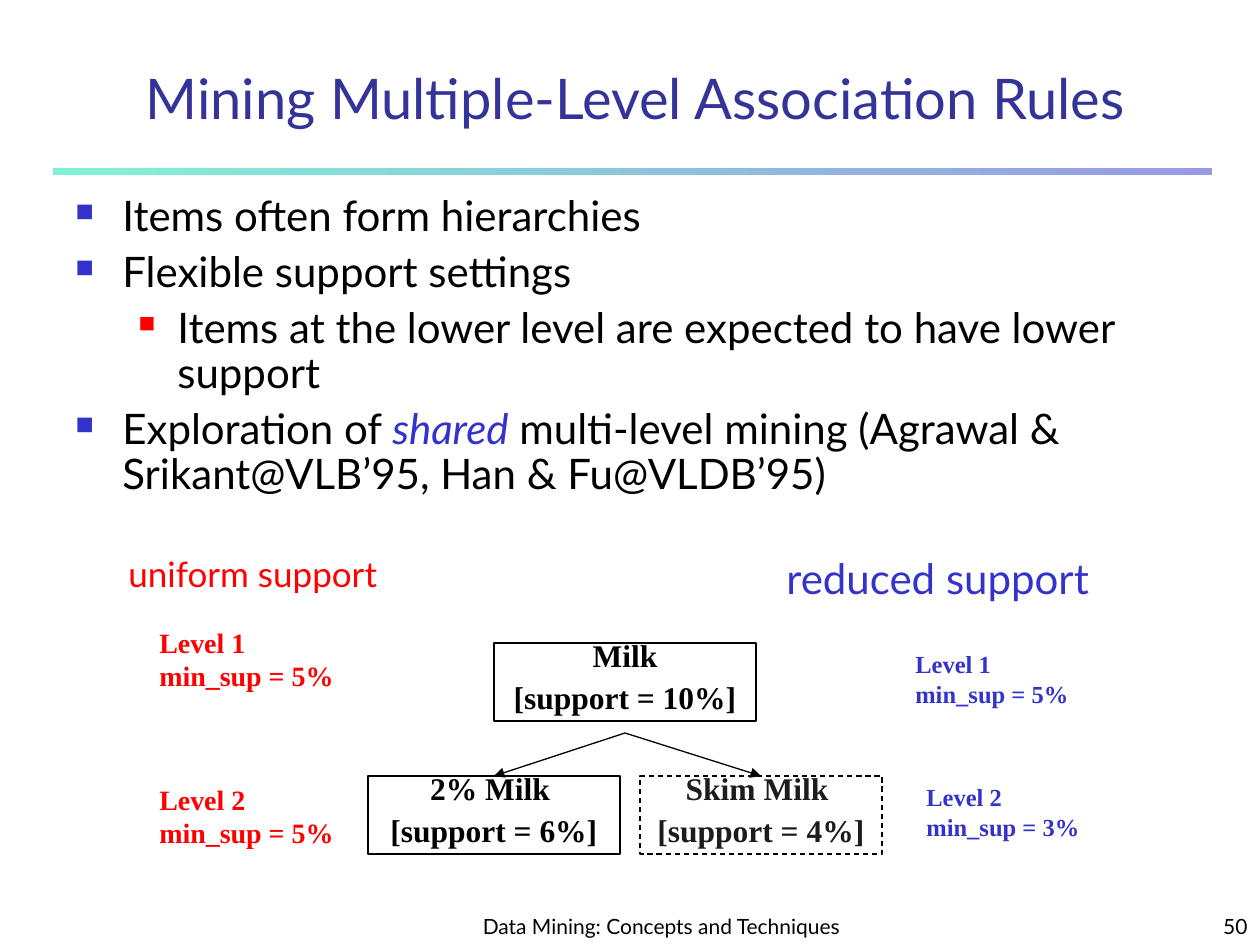
from dataclasses import dataclass

from lxml.etree import SubElement
from pptx import Presentation
from pptx.dml.color import RGBColor
from pptx.enum.dml import MSO_LINE
from pptx.enum.shapes import MSO_CONNECTOR, MSO_SHAPE
from pptx.enum.text import MSO_ANCHOR, PP_ALIGN
from pptx.oxml.ns import qn
from pptx.util import Pt


@dataclass(frozen=True)
class Theme:
    sans: str = "Lato"
    serif: str = "Times New Roman"
    black: str = "000000"
    white: str = "FFFFFF"
    gray: str = "1C1C1C"
    red: str = "FF0000"
    blue: str = "3333CC"
    navy: str = "333399"
    mint: str = "80F2D4"
    lilac: str = "9999E5"
    title: int = 32
    body: int = 24
    label: int = 20
    node: int = 18
    level: int = 16
    small: int = 14
    foot: int = 12


THEME = Theme()


def px(n):
    return round(n * 914400 / 126)


def rgb(code):
    return RGBColor.from_string(code)


def add(parent, tag, **attrs):
    return SubElement(parent, qn(tag), attrs)


def bullet(para, left, hang, color, size):
    props = para._p.get_or_add_pPr()
    props.set("marL", str(px(left)))
    props.set("indent", str(-px(hang)))
    add(add(props, "a:buClr"), "a:srgbClr", val=color)
    add(props, "a:buSzPct", val=str(size * 1000))
    add(props, "a:buChar", char="■")


def write(frame, text, size, color=THEME.black, font=THEME.sans, bold=False,
          align=PP_ALIGN.LEFT, lead=None, gap=0, marks=None):
    """Each line is a string or a list of runs; a (text, color) run is italic."""
    lines = [text] if isinstance(text, str) else text
    for i, line in enumerate(lines):
        para = frame.paragraphs[0] if i == 0 else frame.add_paragraph()
        if marks:
            bullet(para, *marks[i])
        para.alignment = align
        if lead:
            para.line_spacing = lead
        if gap and i:
            para.space_before = Pt(gap)
        for part in [line] if isinstance(line, str) else line:
            accent = isinstance(part, tuple)
            run = para.add_run()
            run.text, tint = part if accent else (part, color)
            run.font.name, run.font.size = font, Pt(size)
            run.font.bold, run.font.italic = bold, accent
            run.font.color.rgb = rgb(tint)


class Deck:
    def __init__(self, theme):
        self.theme = theme
        self.file = Presentation()
        self.file.slide_width, self.file.slide_height = px(1260), px(945)
        self.slide = self.file.slides.add_slide(self.file.slide_layouts[6])

    def text(self, box, text, size, wrap=True, anchor=MSO_ANCHOR.TOP, **fmt):
        frame = self.slide.shapes.add_textbox(*map(px, box)).text_frame
        frame.word_wrap, frame.vertical_anchor = wrap, anchor
        write(frame, text, size, **fmt)

    def rect(self, box):
        shape = self.slide.shapes.add_shape(MSO_SHAPE.RECTANGLE, *map(px, box))
        shape.shadow.inherit = False
        return shape

    def bar(self, box, start, end):
        shape = self.rect(box)
        shape.line.fill.background()
        shape.fill.gradient()
        shape.fill.gradient_angle = 0
        for stop, color in zip(shape.fill.gradient_stops, (start, end)):
            stop.color.rgb = rgb(color)

    def node(self, box, lines, color, dashed=False):
        shape = self.rect(box)
        shape.fill.solid()
        shape.fill.fore_color.rgb = rgb(self.theme.white)
        shape.line.color.rgb = rgb(self.theme.black)
        shape.line.width = Pt(0.75)
        if dashed:
            shape.line.dash_style = MSO_LINE.DASH
            tint = shape.fill._xPr.find(qn("a:solidFill"))[0]
            add(tint, "a:alpha", val="50000")
        frame = shape.text_frame
        frame.word_wrap, frame.vertical_anchor = True, MSO_ANCHOR.TOP
        write(frame, lines, self.theme.node, color=color, font=self.theme.serif,
              bold=True, align=PP_ALIGN.CENTER, lead=0.6, gap=11.2)
        return shape

    def arrow(self, x, y, goal):
        """Draw from a point to the middle of the goal's top side."""
        link = self.slide.shapes.add_connector(
            MSO_CONNECTOR.STRAIGHT, px(x), px(y),
            goal.left + goal.width // 2, goal.top)
        link.end_connect(goal, 0)
        link.line.color.rgb = rgb(self.theme.black)
        link.line.width = Pt(0.75)
        add(link.line._get_or_add_ln(), "a:tailEnd", type="triangle")
        add(link._element.spPr, "a:effectLst")


def main():
    t = THEME
    deck = Deck(t)

    # Title and rule
    deck.bar((53, 168, 1159, 7), t.mint, t.lilac)
    deck.text((95, 53, 1081, 84), "Mining Multiple-Level Association Rules",
              t.title, color=t.navy, align=PP_ALIGN.CENTER,
              anchor=MSO_ANCHOR.BOTTOM)

    # Bullets
    top, sub = (47, 47, t.blue, 60), (102, 39, t.red, 55)
    deck.text((63, 189, 1155, 325), [
        "Items often form hierarchies",
        "Flexible support settings",
        "Items at the lower level are expected to have lower support",
        ["Exploration of ", ("shared", t.blue),
         " multi-level mining (Agrawal & Srikant@VLB’95, Han & Fu@VLDB’95)"],
    ], t.body, lead=0.9, gap=6, marks=[top, top, sub, top])

    # Support headings
    deck.text((116, 546, 336, 73), "uniform support", t.label, color=t.red)
    deck.text((774, 546, 354, 63), "reduced support", t.body, wrap=False,
              color=t.blue)

    # Milk hierarchy
    deck.node((494, 643, 262, 78), ["Milk", "[support = 10%]"], t.black)
    kids = [
        deck.node((368, 776, 252, 78), ["2% Milk ", "[support = 6%]"], t.black),
        deck.node((640, 776, 242, 78), ["Skim Milk ", "[support = 4%]"], t.gray,
                  dashed=True),
    ]
    for kid in kids:
        deck.arrow(625, 733, kid)

    # Thresholds per level
    for x, y, level, share, size, color in [
        (147, 619, 1, 5, t.level, t.red),
        (147, 776, 2, 5, t.level, t.red),
        (903, 643, 1, 5, t.small, t.blue),
        (914, 776, 2, 3, t.small, t.blue),
    ]:
        deck.text((x, y, 199, 80), [f"Level {level}", f"min_sup = {share}%"],
                  size, wrap=False, color=color, font=t.serif, bold=True)

    # Footer
    for x, wide, words, align in [
        (462, 399, "Data Mining: Concepts and Techniques", PP_ALIGN.CENTER),
        (998, 262, "50", PP_ALIGN.RIGHT),
    ]:
        deck.text((x, 892, wide, 53), words, t.foot, align=align,
                  anchor=MSO_ANCHOR.BOTTOM)

    deck.file.save("out.pptx")


if __name__ == "__main__":
    main()
